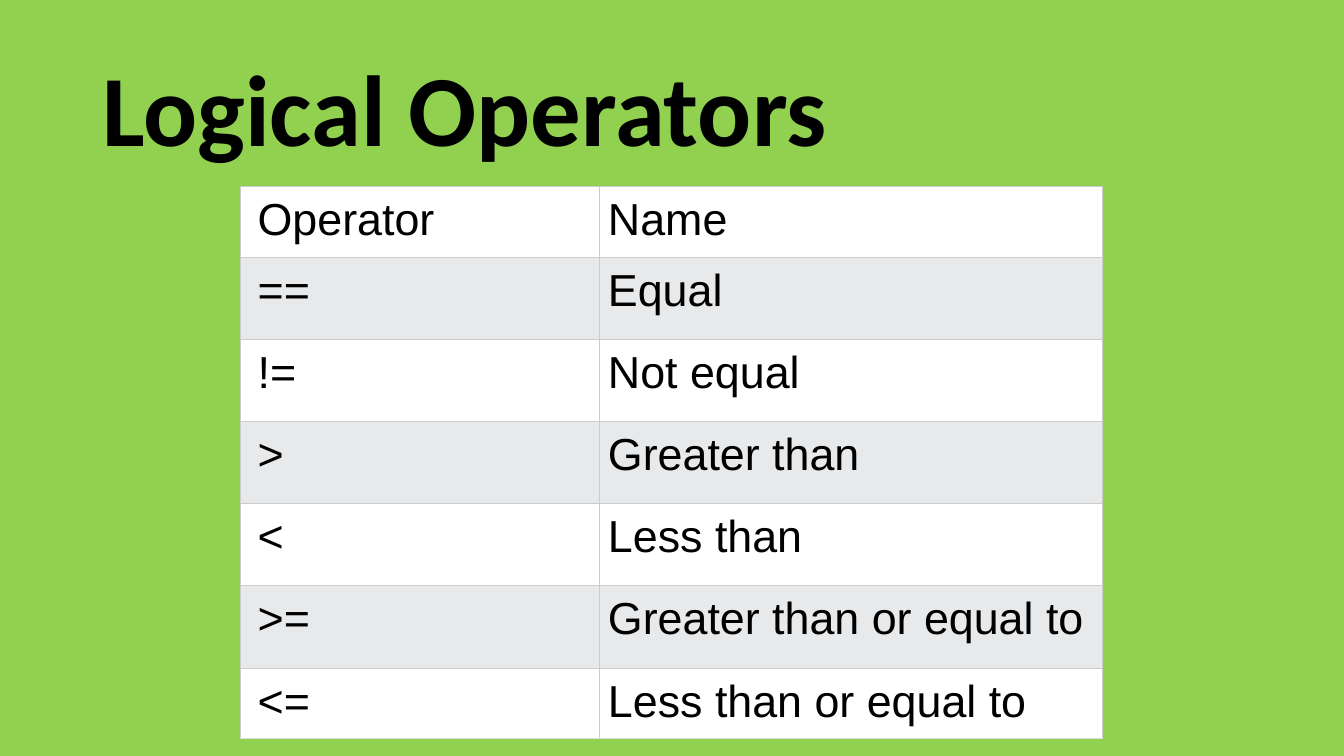
from dataclasses import dataclass

from lxml.etree import SubElement
from pptx import Presentation
from pptx.dml.color import RGBColor
from pptx.enum.text import MSO_ANCHOR
from pptx.oxml.ns import qn
from pptx.util import Pt

TITLE = "Logical Operators"
OPERATORS = [
    ("Operator", "Name"),
    ("==", "Equal"),
    ("!=", "Not equal"),
    (">", "Greater than"),
    ("<", "Less than"),
    (">=", "Greater than or equal to"),
    ("<=", "Less than or equal to"),
]


@dataclass(frozen=True)
class Theme:
    background: str = "92D050"
    ink: str = "000000"
    bands: tuple = ("FFFFFF", "E7E9EB")
    rule: str = "CCCCCC"
    last_rule: str = "DDDDDD"
    title_font: str = "Calibri"
    table_font: str = "Arial"
    title_size: int = 72
    table_size: int = 32


THEME = Theme()
TABLE_LEFT, TABLE_TOP = 172, 133.2
COLUMN_WIDTHS = (256.3, 359.3)
LEFT_INSETS = (12, 6)
OUTER_ROW, INNER_ROW = 36, 58.75
CELL_INSET = 6
RULE_WIDTH = 0.75


def add_span(para, text, font, size, bold=False):
    span = para.add_run()
    span.text = text
    span.font.name = font
    span.font.size = Pt(size)
    span.font.bold = bold
    span.font.color.rgb = RGBColor.from_string(THEME.ink)


def add_title(page):
    box = page.shapes.add_textbox(Pt(66), Pt(28.8), Pt(828), Pt(104.4))
    frame = box.text_frame
    frame.word_wrap = True
    frame.vertical_anchor = MSO_ANCHOR.MIDDLE
    para = frame.paragraphs[0]
    para.line_spacing = 0.9
    add_span(para, TITLE, THEME.title_font, THEME.title_size, bold=True)


def set_borders(cell, bottom_color):
    properties = cell._tc.get_or_add_tcPr()
    sides = {"lnL": THEME.rule, "lnR": THEME.rule, "lnT": THEME.rule, "lnB": bottom_color}
    for position, (side, color) in enumerate(sides.items()):
        line = properties.makeelement(qn(f"a:{side}"), {"w": str(Pt(RULE_WIDTH))})
        fill = SubElement(line, qn("a:solidFill"))
        SubElement(fill, qn("a:srgbClr"), val=color)
        properties.insert(position, line)


def add_operator_table(page):
    last = len(OPERATORS) - 1
    heights = [OUTER_ROW if index in (0, last) else INNER_ROW for index in range(last + 1)]
    frame = page.shapes.add_table(
        len(OPERATORS), len(COLUMN_WIDTHS), Pt(TABLE_LEFT), Pt(TABLE_TOP),
        Pt(sum(COLUMN_WIDTHS)), Pt(sum(heights)),
    )
    table = frame.table
    table.first_row = False
    table.horz_banding = False
    for column, width in zip(table.columns, COLUMN_WIDTHS):
        column.width = Pt(width)
    for row_index, (row, height) in enumerate(zip(table.rows, heights)):
        row.height = Pt(height)
        for cell, text, left_inset in zip(row.cells, OPERATORS[row_index], LEFT_INSETS):
            cell.margin_left = Pt(left_inset)
            cell.margin_top = cell.margin_right = cell.margin_bottom = Pt(CELL_INSET)
            cell.fill.solid()
            cell.fill.fore_color.rgb = RGBColor.from_string(THEME.bands[row_index % 2])
            set_borders(cell, THEME.last_rule if row_index == last else THEME.rule)
            add_span(cell.text_frame.paragraphs[0], text, THEME.table_font, THEME.table_size)


def main():
    deck = Presentation()
    deck.slide_width, deck.slide_height = Pt(960), Pt(540)
    page = deck.slides.add_slide(deck.slide_layouts[6])
    page.background.fill.solid()
    page.background.fill.fore_color.rgb = RGBColor.from_string(THEME.background)
    add_title(page)
    add_operator_table(page)
    deck.save("out.pptx")


if __name__ == "__main__":
    main()
